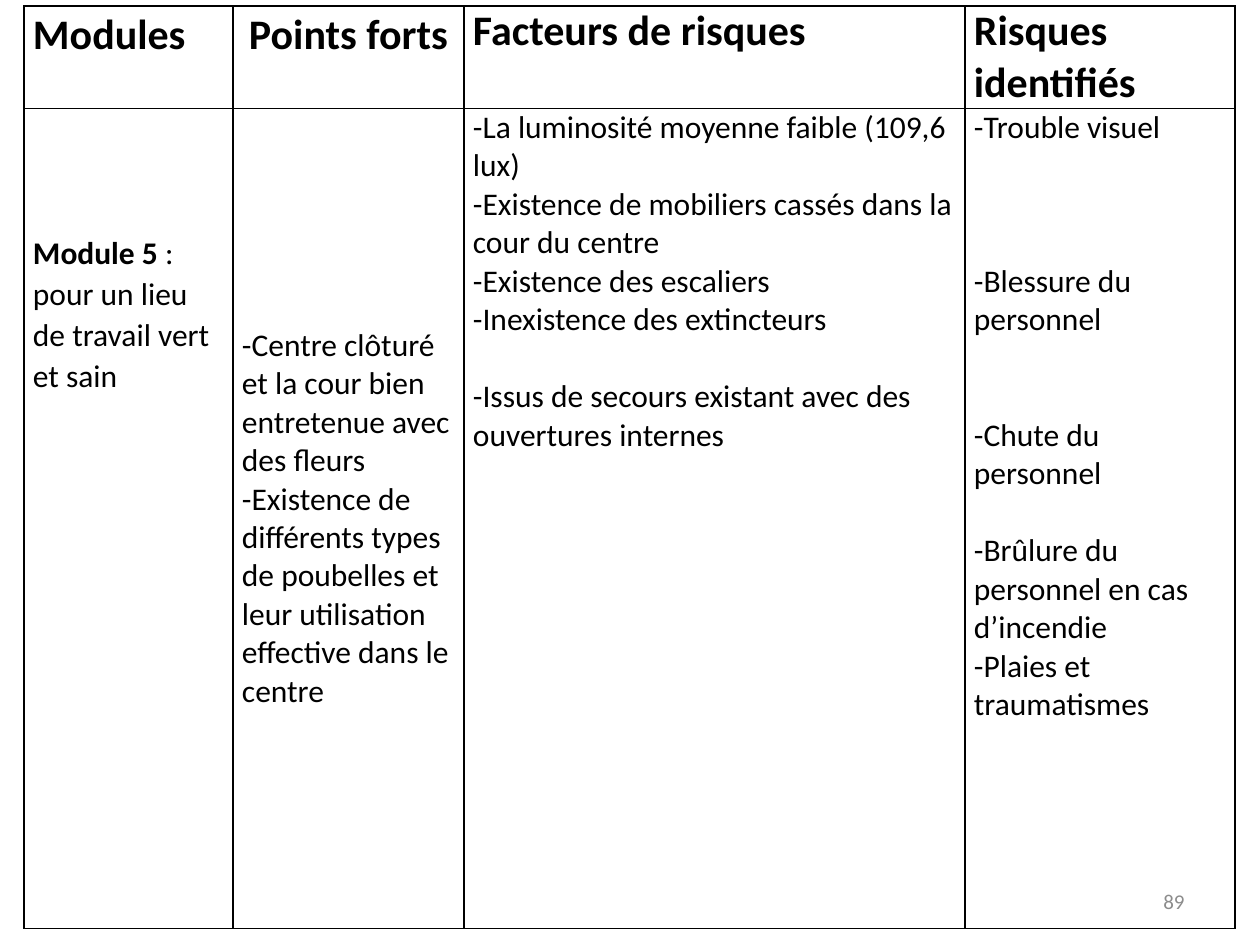
from pptx import Presentation
from pptx.dml.color import RGBColor
from pptx.enum.text import MSO_ANCHOR as Anchor, PP_ALIGN as Align
from pptx.oxml import parse_xml
from pptx.oxml.ns import nsdecls
from pptx.util import Emu, Pt

BLACK = RGBColor(0x00, 0x00, 0x00)
GREY = RGBColor(0x8C, 0x8C, 0x8C)
FONT = "Calibri"
HEADER_SIZE, BODY_SIZE, NUMBER_SIZE = 24, 18, 12
BODY_LINE = 22  # points taken by one line of body text
LOOSE = 1.07  # line spacing of the first columns
SIDE_MARGIN = 9

COLUMN_WIDTHS = [209, 231, 501, 270]
ROW_HEIGHTS = [102, 820]
HEADERS = [
    ("Modules", Align.LEFT, LOOSE),
    ("Points forts", Align.CENTER, LOOSE),
    ("Facteurs de risques", Align.LEFT, 1.0),
    ("Risques identifiés", Align.LEFT, 1.0),
]
MODULE = ["Module 5 :", "pour un lieu de travail vert et sain"]
STRENGTHS = [
    "-Centre clôturé et la cour bien entretenue avec des fleurs",
    "-Existence de différents types de poubelles et leur utilisation "
    "effective dans le centre",
]
FACTORS = [
    "-La luminosité moyenne faible (109,6 lux)",
    "-Existence de mobiliers cassés dans la cour du centre",
    "-Existence des escaliers",
    "-Inexistence des extincteurs",
    "-Issus de secours existant avec des ouvertures internes",
]
RISKS = [
    "-Trouble visuel",
    "-Blessure du personnel",
    "-Chute du personnel",
    "-Brûlure du personnel en cas d’incendie",
    "-Plaies et traumatismes",
]


def px(count):
    return Emu(round(count * 914400 / 126))


def style_font(font, size, color=BLACK, bold=False):
    font.name = FONT
    font.size = Pt(size)
    font.bold = bold
    font.color.rgb = color


def style_cell(cell):
    """Give a cell thin black borders, no fill and tight margins."""
    properties = cell._tc.get_or_add_tcPr()
    for side in ("lnL", "lnR", "lnT", "lnB"):
        properties.append(parse_xml(
            f'<a:{side} {nsdecls("a")} w="{Pt(1)}"><a:solidFill>'
            f'<a:srgbClr val="{BLACK}"/></a:solidFill></a:{side}>'))
    cell.fill.background()
    cell.margin_left = cell.margin_right = px(SIDE_MARGIN)
    cell.margin_top = cell.margin_bottom = 0


def write_cell(cell, lines, size=BODY_SIZE, bold=False, align=Align.LEFT,
               spacing=1.0, gaps=None):
    """Write one paragraph a line; gaps maps a line to the free lines above it."""
    cell.text_frame.text = "\n".join(lines)
    for index, para in enumerate(cell.text_frame.paragraphs):
        para.alignment = align
        para.line_spacing = spacing
        if gaps and index in gaps:
            para.space_before = Pt(gaps[index] * BODY_LINE)
        for span in para.runs:
            style_font(span.font, size, bold=bold)


def write_module(cell):
    write_cell(cell, MODULE, spacing=LOOSE)
    cell.margin_top = px(123)
    para = cell.text_frame.paragraphs[0]
    title = para.runs[0]
    title.text = MODULE[0][:-1]
    title.font.bold = True
    colon = para.add_run()
    colon.text = MODULE[0][-1]
    style_font(colon.font, BODY_SIZE)


def add_risk_table(page):
    frame = page.shapes.add_table(
        len(ROW_HEIGHTS), len(COLUMN_WIDTHS), px(24), px(6),
        px(sum(COLUMN_WIDTHS)), px(sum(ROW_HEIGHTS)))
    table = frame.table
    table.first_row = table.horz_banding = False
    for column, width in zip(table.columns, COLUMN_WIDTHS):
        column.width = px(width)
    for row, height in zip(table.rows, ROW_HEIGHTS):
        row.height = px(height)
    for cell in table.iter_cells():
        style_cell(cell)

    for index, (title, align, spacing) in enumerate(HEADERS):
        write_cell(table.cell(0, index), [title], HEADER_SIZE, True, align, spacing)
    module, strengths, factors, risks = table.rows[1].cells
    write_module(module)
    write_cell(strengths, STRENGTHS)
    strengths.vertical_anchor = Anchor.MIDDLE
    write_cell(factors, FACTORS, gaps={4: 1})
    write_cell(risks, RISKS, gaps={1: 3, 2: 2, 3: 1})


def add_page_number(page, number):
    box = page.shapes.add_textbox(px(903), px(876), px(294), px(50))
    text = box.text_frame
    text.word_wrap = True
    text.vertical_anchor = Anchor.MIDDLE
    text.text = number
    para = text.paragraphs[0]
    para.alignment = Align.RIGHT
    style_font(para.runs[0].font, NUMBER_SIZE, GREY)


def main():
    deck = Presentation()
    deck.slide_width, deck.slide_height = px(1260), px(945)
    page = deck.slides.add_slide(deck.slide_layouts[6])
    add_risk_table(page)
    add_page_number(page, "89")
    deck.save("out.pptx")


if __name__ == "__main__":
    main()
